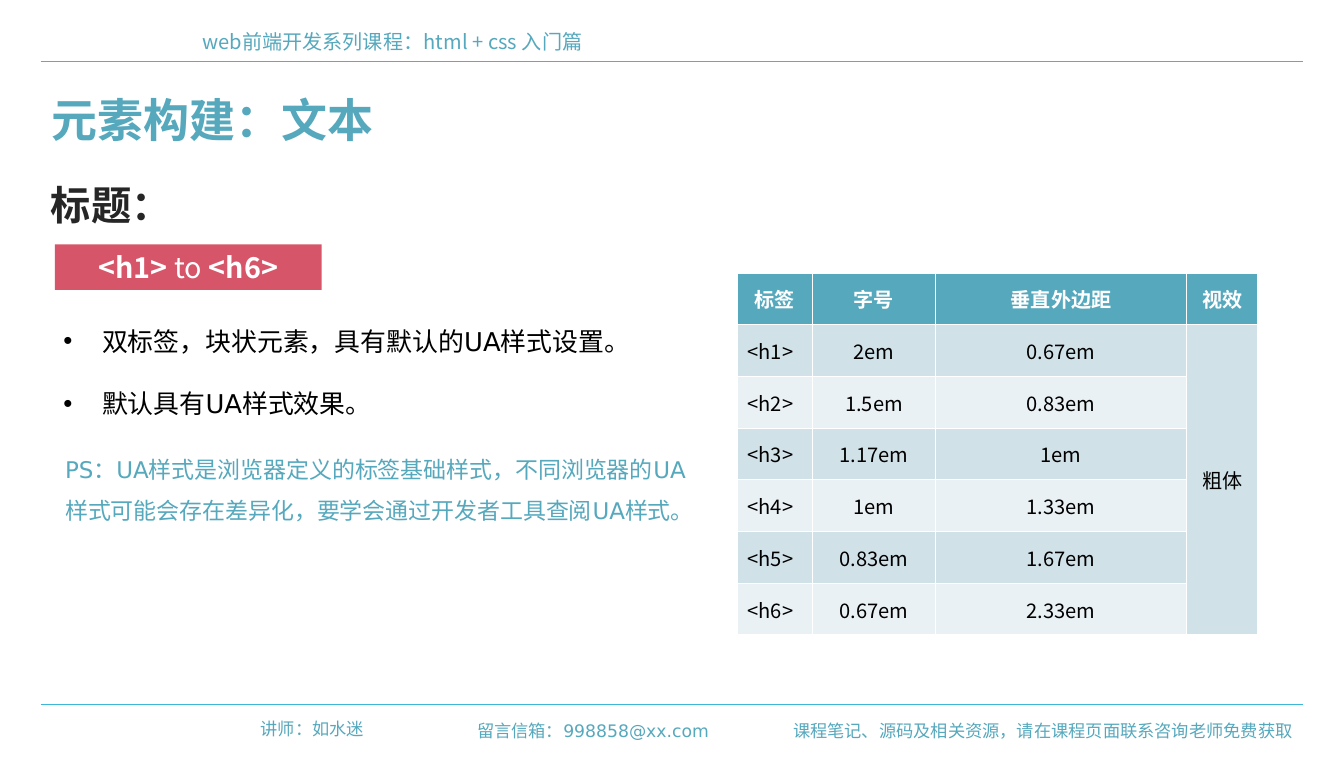
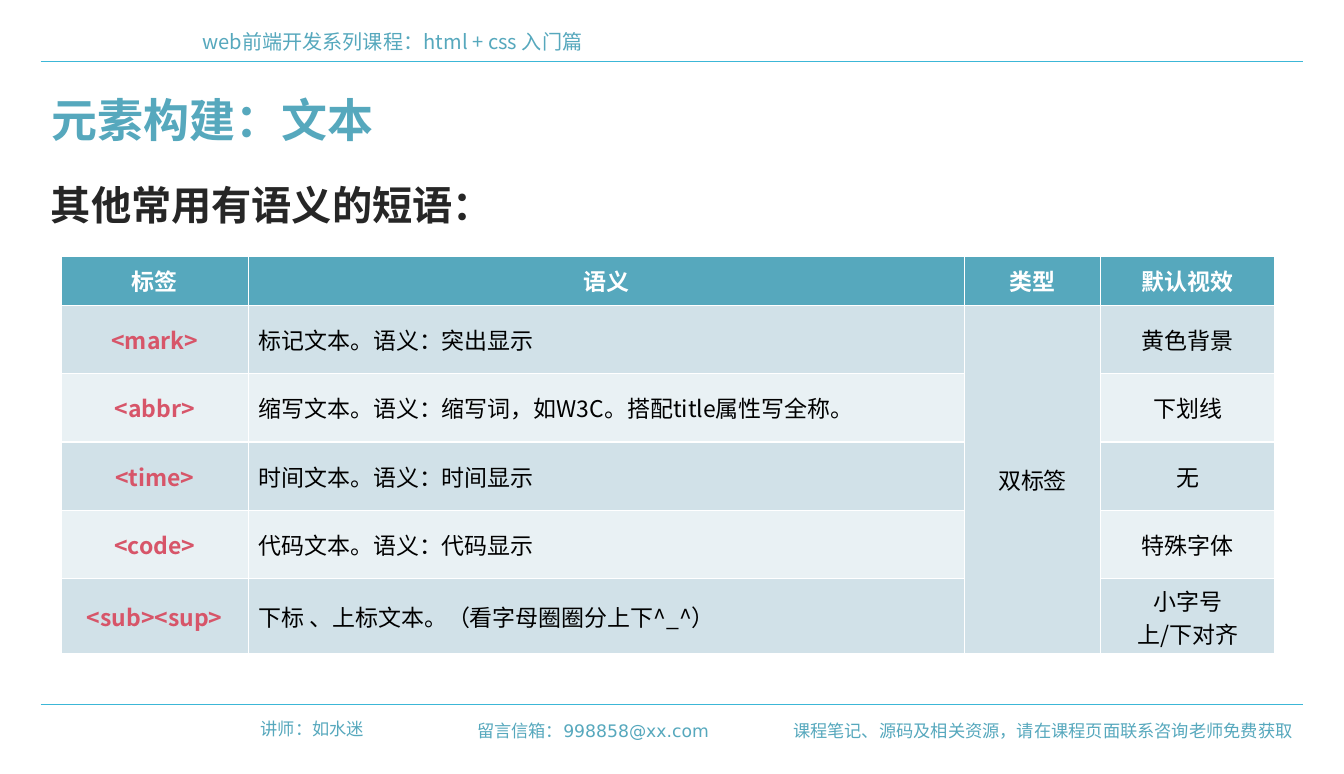
from lxml import etree
from pptx import Presentation
from pptx.dml.color import RGBColor
from pptx.enum import shapes, text
from pptx.oxml import ns
from pptx.util import Cm, Pt

TEAL, LINE, RED = "56A8BD", "3CB7D7", "D75569"
WHITE, BLACK, DARK = "FFFFFF", "000000", "262626"
BANDS = ["D1E1E8", "E9F1F4"]
NOTO, DEJAVU = "Noto Sans CJK SC", "DejaVu Sans"
LEFT, CENTER, RIGHT = text.PP_ALIGN.LEFT, text.PP_ALIGN.CENTER, text.PP_ALIGN.RIGHT


def color(value):
    return RGBColor.from_string(value)


def style(frame, size, value, bold=False, align=LEFT, font=NOTO, spacing=1.0):
    frame.word_wrap = True
    for paragraph in frame.paragraphs:
        paragraph.alignment = align
        paragraph.line_spacing = spacing
        paragraph.space_before = Pt(0)
        for run in paragraph.runs:
            run.font.size = Pt(size)
            run.font.bold = bold
            run.font.name = font
            run.font.color.rgb = color(value)
            east_asian = etree.SubElement(run.font._element, ns.qn("a:ea"))
            east_asian.set("typeface", NOTO)


presentation = Presentation()
presentation.slide_width, presentation.slide_height = Cm(33), Cm(19)
master = presentation.slide_master

for placeholder in list(master.placeholders)[2:]:
    master.shapes.element.remove(placeholder.element)
master_title = master.placeholders[0]
master_title.left, master_title.top = Cm(1), Cm(2.1)
master_title.width, master_title.height = Cm(31), Cm(1.63)

heading_slide = presentation.slides.add_slide(presentation.slide_layouts[1])
phrase_slide = presentation.slides.add_slide(presentation.slide_layouts[5])

for y in (1.5, 17.3):
    rule = heading_slide.shapes.add_connector(
        shapes.MSO_CONNECTOR.STRAIGHT, Cm(1), Cm(y), Cm(32), Cm(y))
    rule.line.color.rgb = color(LINE)
    rule.line.width = Pt(0.75)
    etree.SubElement(rule.element.spPr, ns.qn("a:effectLst"))
    master.shapes.element.append(rule.element)

master_texts = [
    ("web前端开发系列课程：html + css 入门篇", 4.72, 0.6, 26.7, 14, LEFT, NOTO),
    ("讲师：如水迷", 5.69, 17.5, 3.5, 12, RIGHT, DEJAVU),
    ("留言信箱：998858@xx.com", 10.9, 17.55, 6.76, 12, RIGHT, DEJAVU),
    ("课程笔记、源码及相关资源，请在课程页面联系咨询老师免费获取",
     19.1, 17.55, 12.9, 12, RIGHT, DEJAVU),
]
for words, left, top, width, size, align, font in master_texts:
    box = heading_slide.shapes.add_textbox(Cm(left), Cm(top), Cm(width), Cm(0.8))
    box.text_frame.text = words
    style(box.text_frame, size, TEAL, align=align, font=font)
    master.shapes.element.append(box.element)

pages = [
    (heading_slide, "标题：", 14, 18.1, 6.7,
     [1.85, 3.02, 6.17, 1.75], [1.27] * 7, 3,
     [["标签", "字号", "垂直外边距", "视效"],
      ["<h1>", "2em", "0.67em", "粗体"],
      ["<h2>", "1.5em", "0.83em", ""],
      ["<h3>", "1.17em", "1em", ""],
      ["<h4>", "1em", "1.33em", ""],
      ["<h5>", "0.83em", "1.67em", ""],
      ["<h6>", "0.67em", "2.33em", ""]],
     {0: (LEFT, BLACK, False)}),
    (phrase_slide, "其他常用有语义的短语：", 16, 1.5, 6.3,
     [4.6, 17.58, 3.35, 4.27], [1.19] + [1.68] * 4 + [1.83], 2,
     [["标签", "语义", "类型", "默认视效"],
      ["<mark>", "标记文本。语义：突出显示", "双标签", "黄色背景"],
      ["<abbr>", "缩写文本。语义：缩写词，如W3C。搭配title属性写全称。", "", "下划线"],
      ["<time>", "时间文本。语义：时间显示", "", "无"],
      ["<code>", "代码文本。语义：代码显示", "", "特殊字体"],
      ["<sub><sup>", "下标 、上标文本。（看字母圈圈分上下^_^）", "", "小字号\n上/下对齐"]],
     {0: (CENTER, RED, True), 1: (LEFT, BLACK, False)}),
]
for slide, subtitle, size, left, top, widths, heights, merged, rows, column_styles in pages:
    title = slide.shapes.title.text_frame
    title.text = "元素构建：文本"
    title.auto_size = text.MSO_AUTO_SIZE.NONE
    title.vertical_anchor = text.MSO_ANCHOR.MIDDLE
    style(title, 32, TEAL, bold=True, font=DEJAVU)

    box = slide.shapes.add_textbox(Cm(1), Cm(4.3), Cm(16.9), Cm(1.45))
    box.text_frame.text = subtitle
    style(box.text_frame, 28, DARK, bold=True)

    table = slide.shapes.add_table(
        len(rows), len(widths), Cm(left), Cm(top), Cm(sum(widths)), Cm(sum(heights))).table
    for column, width in zip(table.columns, widths):
        column.width = Cm(width)
    for row, height in zip(table.rows, heights):
        row.height = Cm(height)
    for i, row in enumerate(rows):
        for j, words in enumerate(row):
            cell = table.cell(i, j)
            cell.fill.solid()
            cell.fill.fore_color.rgb = color(BANDS[(i - 1) % 2] if i else TEAL)
            cell.vertical_anchor = text.MSO_ANCHOR.MIDDLE
            cell.text_frame.text = words
            align, value, bold = column_styles.get(j, (CENTER, BLACK, False))
            if i == 0:
                align, value, bold = CENTER, WHITE, True
            style(cell.text_frame, size, value, bold, align)
    table.cell(1, merged).merge(table.cell(len(rows) - 1, merged))

body = heading_slide.placeholders[1]
body.left, body.top, body.width, body.height = Cm(1.3), Cm(7.1), Cm(29.4), Cm(3.33)
body.text_frame.text = "双标签，块状元素，具有默认的UA样式设置。\n默认具有UA样式效果。"
body.text_frame.auto_size = text.MSO_AUTO_SIZE.NONE
style(body.text_frame, 18, BLACK, font=DEJAVU, spacing=2.0)

note = heading_slide.shapes.add_textbox(Cm(1.35), Cm(10.72), Cm(16.15), Cm(2.31))
note.text_frame.text = ("PS：UA样式是浏览器定义的标签基础样式，不同浏览器的UA样式可能会存在差异化，"
                        "要学会通过开发者工具查阅UA样式。")
style(note.text_frame, 16, TEAL, font=DEJAVU, spacing=1.5)

badge = heading_slide.shapes.add_shape(
    shapes.MSO_SHAPE.RECTANGLE, Cm(1.35), Cm(6), Cm(6.55), Cm(1.12))
badge.shadow.inherit = False
badge.fill.solid()
badge.fill.fore_color.rgb = color(RED)
badge.line.fill.background()
badge_line = badge.text_frame.paragraphs[0]
for words in ("<h1> ", "to ", "<h6>"):
    badge_line.add_run().text = words
style(badge.text_frame, 20, WHITE, bold=True, align=CENTER)
badge_line.runs[1].font.bold = False

presentation.save("out.pptx")
